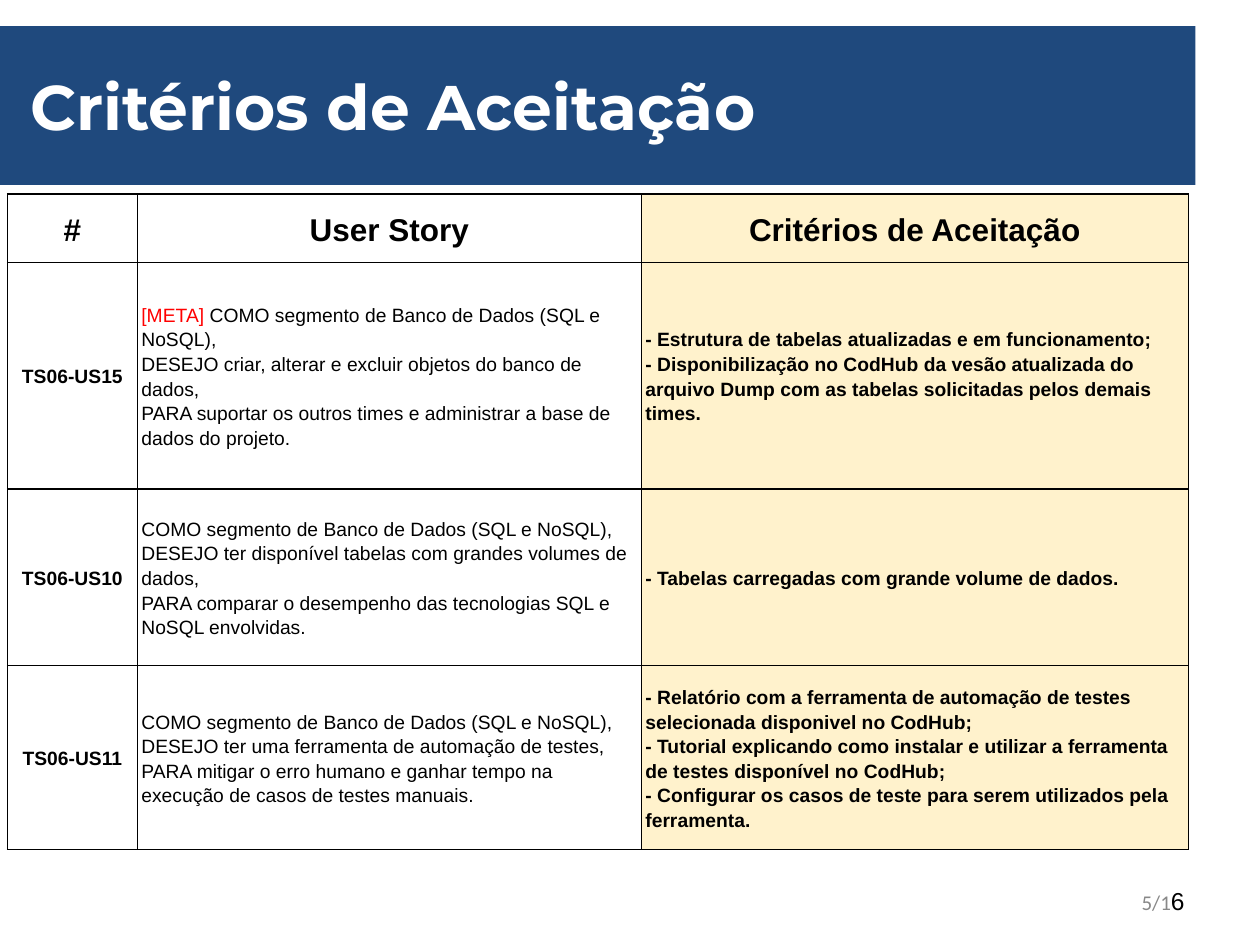
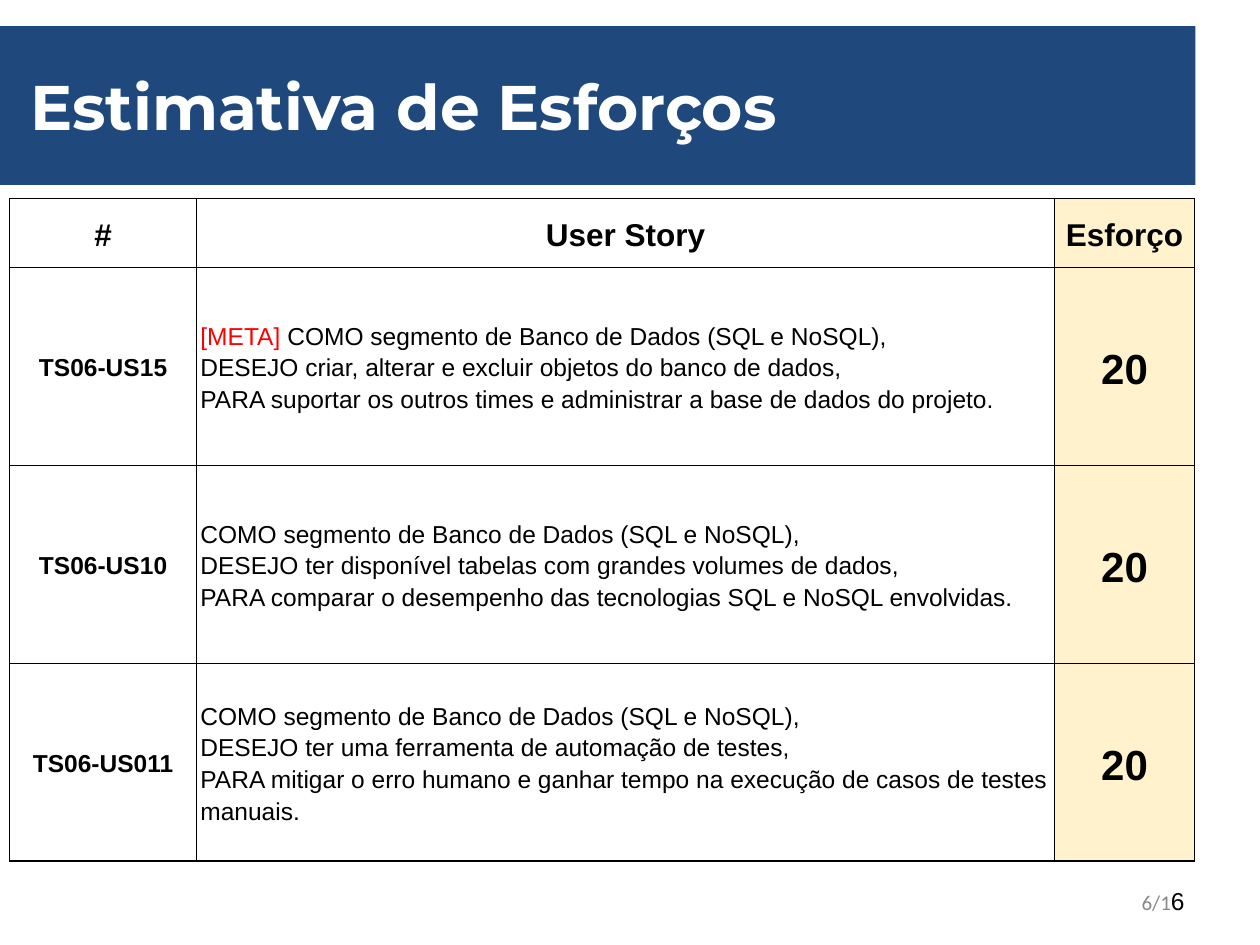
from copy import deepcopy

from lxml import etree
from pptx import Presentation
from pptx.dml.color import RGBColor
from pptx.enum.shapes import MSO_SHAPE
from pptx.enum.text import MSO_ANCHOR as ANCHOR, PP_ALIGN as ALIGN
from pptx.oxml.ns import qn
from pptx.util import Cm, Pt

NAVY, WHITE, BLACK = "1F497D", "FFFFFF", "000000"
CREAM, RED, GREY = "FFF2CC", "FF0000", "888888"
TAG = "[META]"

STORIES = [
    TAG + " COMO segmento de Banco de Dados (SQL e NoSQL),\n"
    "DESEJO criar, alterar e excluir objetos do banco de dados,\n"
    "PARA suportar os outros times e administrar a base de dados do projeto.",
    "COMO segmento de Banco de Dados (SQL e NoSQL),\n"
    "DESEJO ter disponível tabelas com grandes volumes de dados,\n"
    "PARA comparar o desempenho das tecnologias SQL e NoSQL envolvidas.",
    "COMO segmento de Banco de Dados (SQL e NoSQL),\n"
    "DESEJO ter uma ferramenta de automação de testes,\n"
    "PARA mitigar o erro humano e ganhar tempo na execução de casos de testes manuais.",
]
CRITERIA = [
    ["- Estrutura de tabelas atualizadas e em funcionamento;",
     "- Disponibilização no CodHub da vesão atualizada do arquivo Dump com as "
     "tabelas solicitadas pelos demais times."],
    ["- Tabelas carregadas com grande volume de dados."],
    ["- Relatório com a ferramenta de automação de testes selecionada disponivel no CodHub;",
     "- Tutorial explicando como instalar e utilizar a ferramenta de testes disponível no CodHub;",
     "- Configurar os casos de teste para serem utilizados pela ferramenta."],
]

# The last column is the highlighted one: its heading, entries, size and alignment vary.
SLIDES = [
    dict(title="Critérios de Aceitação", page=5, left=0.15, top=3.91,
         cols=[2.62, 10.16, 11.02], rows=[1.33, 4.57, 3.56, 3.56],
         ids=["TS06-US15", "TS06-US10", "TS06-US11"], size=11,
         last="Critérios de Aceitação", entries=CRITERIA,
         last_size=11, last_align=ALIGN.LEFT),
    dict(title="Estimativa de Esforços", page=6, left=0.2, top=4.01,
         cols=[3.76, 17.3, 2.82], rows=[1.33, 3.99, 3.99, 3.99],
         ids=["TS06-US15", "TS06-US10", "TS06-US011"], size=14,
         last="Esforço", entries=[["20"]] * 3,
         last_size=24, last_align=ALIGN.CENTER),
]


def rgb(color):
    return RGBColor.from_string(color)


def add_text(p, text, size, color=BLACK, bold=False, font="Arial"):
    """Add one run per line, with line breaks of the same size between them."""
    for i, line in enumerate(text.split("\n")):
        if i:
            p.add_line_break()
            p._p[-1].append(deepcopy(r._r.rPr))
        r = p.add_run()
        r.text = line
        r.font.size, r.font.bold, r.font.name = Pt(size), bold, font
        r.font.color.rgb = rgb(color)


prs = Presentation()
prs.slide_width, prs.slide_height = Cm(25.4), Cm(19.05)

for spec_no, data in enumerate(SLIDES):
    s = prs.slides.add_slide(prs.slide_layouts[6])

    # Title band and the white box behind the page number
    band = s.shapes.add_shape(MSO_SHAPE.RECTANGLE, Cm(0), Cm(0.53), Cm(24.1), Cm(3.2))
    box = s.shapes.add_shape(MSO_SHAPE.RECTANGLE, Cm(23.7), Cm(16.92), Cm(1.5), Cm(1.4))
    for sp, color in ((band, NAVY), (box, WHITE)):
        sp.shadow.inherit = False
        sp.fill.solid()
        sp.fill.fore_color.rgb = rgb(color)
    band.line.fill.background()
    box.line.color.rgb = rgb(WHITE)
    box.line.width = Pt(2)
    tf = band.text_frame
    tf.vertical_anchor = ANCHOR.MIDDLE
    tf.paragraphs[0].alignment = ALIGN.LEFT
    add_text(tf.paragraphs[0], " " + data["title"], 36, WHITE, True, "Montserrat")

    # Page number
    tf = s.shapes.add_textbox(Cm(18.21), Cm(17.65), Cm(5.92), Cm(1.02)).text_frame
    tf.word_wrap = True
    tf.vertical_anchor = ANCHOR.MIDDLE
    p = tf.paragraphs[0]
    p.alignment = ALIGN.RIGHT
    add_text(p, f"{data['page']}/1", 12, GREY, font="Calibri")
    add_text(p, "6", 14)

    # Table
    cols, rows = data["cols"], data["rows"]
    table = s.shapes.add_table(len(rows), len(cols), Cm(data["left"]), Cm(data["top"]),
                               Cm(sum(cols)), Cm(sum(rows))).table
    table.first_row = table.horz_banding = False
    for col, width in zip(table.columns, cols):
        col.width = Cm(width)
    for row, height in zip(table.rows, rows):
        row.height = Cm(height)

    size = data["size"]
    content = [[["#"], ["User Story"], [data["last"]]]]
    content += [[[key], [story], entry]
                for key, story, entry in zip(data["ids"], STORIES, data["entries"])]
    for i, row in enumerate(content):
        sizes = [size, size, data["last_size"]] if i else [18] * 3
        aligns = [ALIGN.CENTER, ALIGN.LEFT, data["last_align"]] if i else [ALIGN.CENTER] * 3
        for j, paragraphs in enumerate(row):
            cell = table.cell(i, j)
            cell.vertical_anchor = ANCHOR.MIDDLE
            cell.margin_left = cell.margin_right = Cm(0.08)
            cell.margin_top = cell.margin_bottom = Cm(0.25)
            tcPr = cell._tc.get_or_add_tcPr()
            for side in ("a:lnL", "a:lnR", "a:lnT", "a:lnB"):
                ln = etree.SubElement(tcPr, qn(side), w=str(Pt(0.75)))
                fill = etree.SubElement(ln, qn("a:solidFill"))
                etree.SubElement(fill, qn("a:srgbClr"), val=BLACK)
            cell.fill.solid()
            cell.fill.fore_color.rgb = rgb(CREAM if j == 2 else WHITE)
            tf = cell.text_frame
            for k, text in enumerate(paragraphs):
                p = tf.add_paragraph() if k else tf.paragraphs[0]
                p.alignment, p.line_spacing = aligns[j], 1.15
                if text.startswith(TAG):
                    add_text(p, TAG, sizes[j], RED)
                    text = text[len(TAG):]
                add_text(p, text, sizes[j], bold=i == 0 or j != 1)

prs.save("out.pptx")
